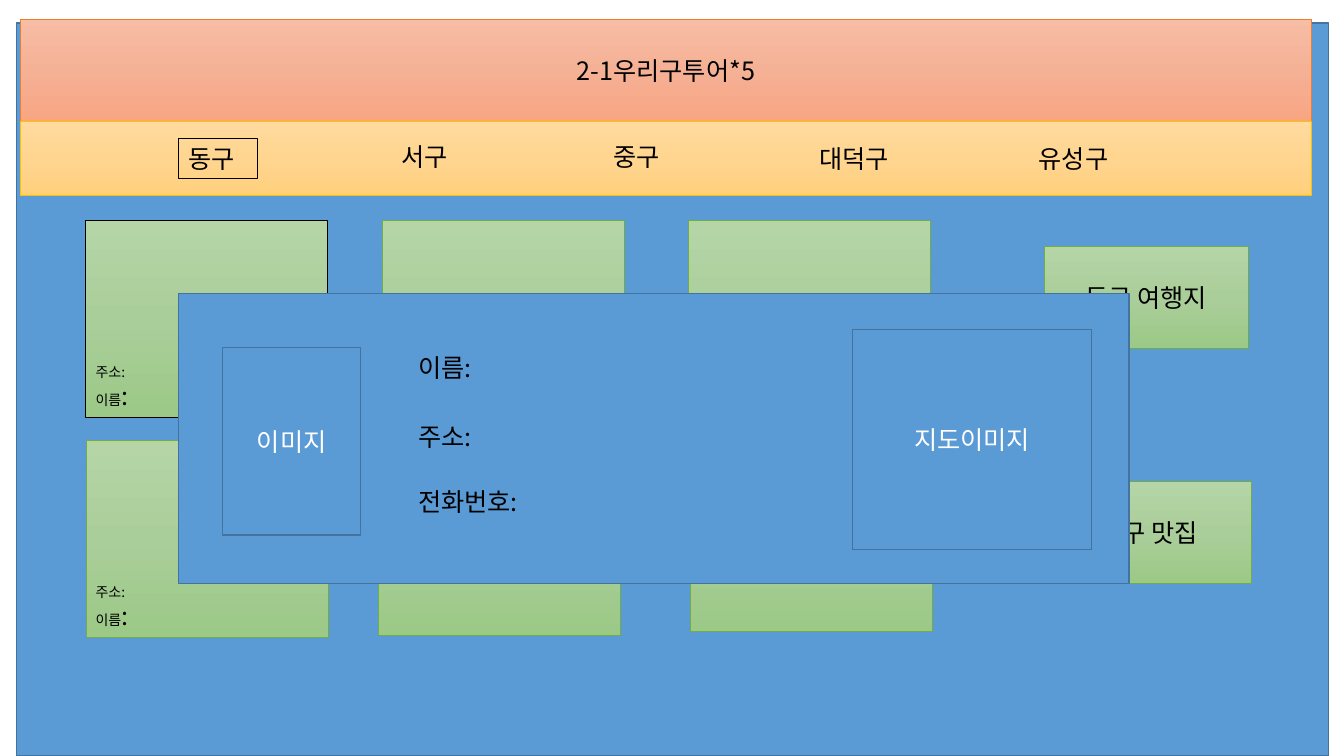
import copy
from dataclasses import dataclass

import pptx
import pptx.dml.color
import pptx.enum.shapes
import pptx.enum.text
import pptx.util
from lxml import etree
from pptx.util import Cm

ALIGN = pptx.enum.text.PP_ALIGN
ANCHOR = pptx.enum.text.MSO_ANCHOR


@dataclass(frozen=True)
class Theme:
    """Colours, font and type sizes of the slide."""
    font: str = "Noto Sans CJK KR"
    body: int = 18
    small: int = 10
    black: str = "000000"
    white: str = "FFFFFF"
    blue: str = "5B9BD5"
    blue_line: str = "43739E"
    orange: tuple = ("F7BDA5", "F5B196", "F8A582")
    orange_line: str = "ED7D31"
    gold: tuple = ("FFDB9E", "FFD590", "FFD07C")
    gold_line: str = "FFC000"
    green: tuple = ("B5D5A7", "AACE9A", "9CC987")
    green_line: str = "70AD47"


THEME = Theme()


def rgb(code):
    """Turn a hex code into a colour."""
    return pptx.dml.color.RGBColor.from_string(code)


def fill_gradient(shape, colours):
    """Fill a shape from top to bottom with three evenly spaced colours."""
    shape.fill.gradient()
    shape.fill.gradient_angle = 270
    first = shape.element.xpath("./p:spPr/a:gradFill/a:gsLst/a:gs")[0]
    first.addnext(copy.deepcopy(first))
    for index, (stop, code) in enumerate(zip(shape.fill.gradient_stops, colours)):
        stop.position = index / 2
        stop.color.rgb = rgb(code)


def paint(shape, fill, line, width):
    """Set fill (none, one colour or a gradient) and outline."""
    if fill is None:
        shape.fill.background()
    elif isinstance(fill, tuple):
        fill_gradient(shape, fill)
    else:
        shape.fill.solid()
        shape.fill.fore_color.rgb = rgb(fill)
    shape.line.color.rgb = rgb(line)
    shape.line.width = pptx.util.Pt(width)


def format_span(span, size, colour):
    """Set font, size and colour of a run, for Latin and Korean text."""
    span.font.name = THEME.font
    span.font.size = pptx.util.Pt(size)
    span.font.color.rgb = rgb(colour)
    latin = span.font._element.find(pptx.oxml.ns.qn("a:latin"))
    east = etree.Element(pptx.oxml.ns.qn("a:ea"), typeface=THEME.font)
    latin.addnext(east)


def write(shape, text, colour=THEME.black, align=ALIGN.CENTER, anchor=ANCHOR.MIDDLE):
    """Write one line of body text into a shape."""
    frame = shape.text_frame
    frame.text = text
    frame.word_wrap = True
    frame.auto_size = pptx.enum.text.MSO_AUTO_SIZE.NONE
    frame.vertical_anchor = anchor
    para = frame.paragraphs[0]
    para.alignment = align
    format_span(para.runs[0], THEME.body, colour)


def place(shape, area):
    """Move and size a shape; the area is in centimetres."""
    shape.left, shape.top, shape.width, shape.height = map(Cm, area)


def add_panel(page, area, fill, line, width=0.5):
    """Add a rectangle."""
    box = page.shapes.add_shape(
        pptx.enum.shapes.MSO_SHAPE.RECTANGLE, *map(Cm, area))
    box.shadow.inherit = False
    paint(box, fill, line, width)
    return box


def add_label(page, area, text):
    """Add a left-aligned line of body text."""
    box = page.shapes.add_textbox(*map(Cm, area))
    write(box, text, align=ALIGN.LEFT, anchor=ANCHOR.TOP)
    return box


def add_caption(page, left, top):
    """Add the address and name lines of a card."""
    box = page.shapes.add_textbox(Cm(left), Cm(top), Cm(6.1), Cm(1.45))
    frame = box.text_frame
    frame.word_wrap = True
    frame.text = "주소:\n이름"
    colon = frame.paragraphs[1].add_run()
    colon.text = ":"
    for para in frame.paragraphs:
        for span in para.runs:
            format_span(span, THEME.small, THEME.black)
    colon.font.size = pptx.util.Pt(THEME.body)


def add_header(page):
    """Add the backdrop, the title bar and the district menu."""
    backdrop = add_panel(page, (0.41, 0.58, 33.07, 18.47),
                         THEME.blue, THEME.blue_line, 1)
    title = page.shapes.title
    backdrop.element.addnext(title.element)
    place(title, (0.51, 0.48, 32.54, 2.57))
    paint(title, THEME.orange, THEME.orange_line, 0.5)
    write(title, "2-1우리구투어*5")

    add_panel(page, (0.51, 3.05, 32.54, 1.88), THEME.gold, THEME.gold_line)
    districts = [("동구", 4.5, 3.48, 1.98), ("서구", 9.86, 3.43, 1.98),
                 ("중구", 15.21, 3.43, 1.98), ("대덕구", 20.4, 3.48, 2.82),
                 ("유성구", 25.93, 3.48, 2.97)]
    tabs = [add_label(page, (left, top, width, 1.02), name)
            for name, left, top, width in districts]
    paint(tabs[0], None, THEME.black, 0.75)


def add_cards(page):
    """Add the place cards, the category buttons and the card captions."""
    corners = [(2.16, 5.56), (9.63, 5.56), (17.35, 5.56),
               (2.18, 11.1), (9.53, 11.05), (17.4, 10.97)]
    cards = [add_panel(page, (*corner, 6.1, 4.95), THEME.green, THEME.green_line)
             for corner in corners]
    cards[0].line.color.rgb = rgb(THEME.black)
    for text, left, top in [("동구 여행지", 26.31, 6.2), ("동구 맛집", 26.37, 12.14)]:
        button = add_panel(page, (left, top, 5.16, 2.57),
                           THEME.green, THEME.green_line)
        write(button, text)
    for top in (9.04, 14.58):
        add_caption(page, 2.16, top)


def add_popup(page):
    """Add the detail window with its image, fields and map."""
    add_panel(page, (4.5, 7.39, 23.95, 7.32), THEME.blue, THEME.blue_line, 1)
    for text, top in [("이름:", 8.76), ("주소:", 10.49), ("전화번호:", 12.14)]:
        add_label(page, (10.29, top, 12.32, 1.02), text)
    for text, area in [("이미지", (5.61, 8.76, 3.48, 4.72)),
                       ("지도이미지", (21.49, 8.31, 6.02, 5.54))]:
        frame = add_panel(page, area, THEME.blue, THEME.blue_line, 1)
        write(frame, text, THEME.white)


def main():
    """Build and save the slide."""
    deck = pptx.Presentation()
    deck.slide_width, deck.slide_height = Cm(33.87), Cm(19.05)
    page = deck.slides.add_slide(deck.slide_layouts[5])
    add_header(page)
    add_cards(page)
    add_popup(page)
    deck.save("out.pptx")


main()
